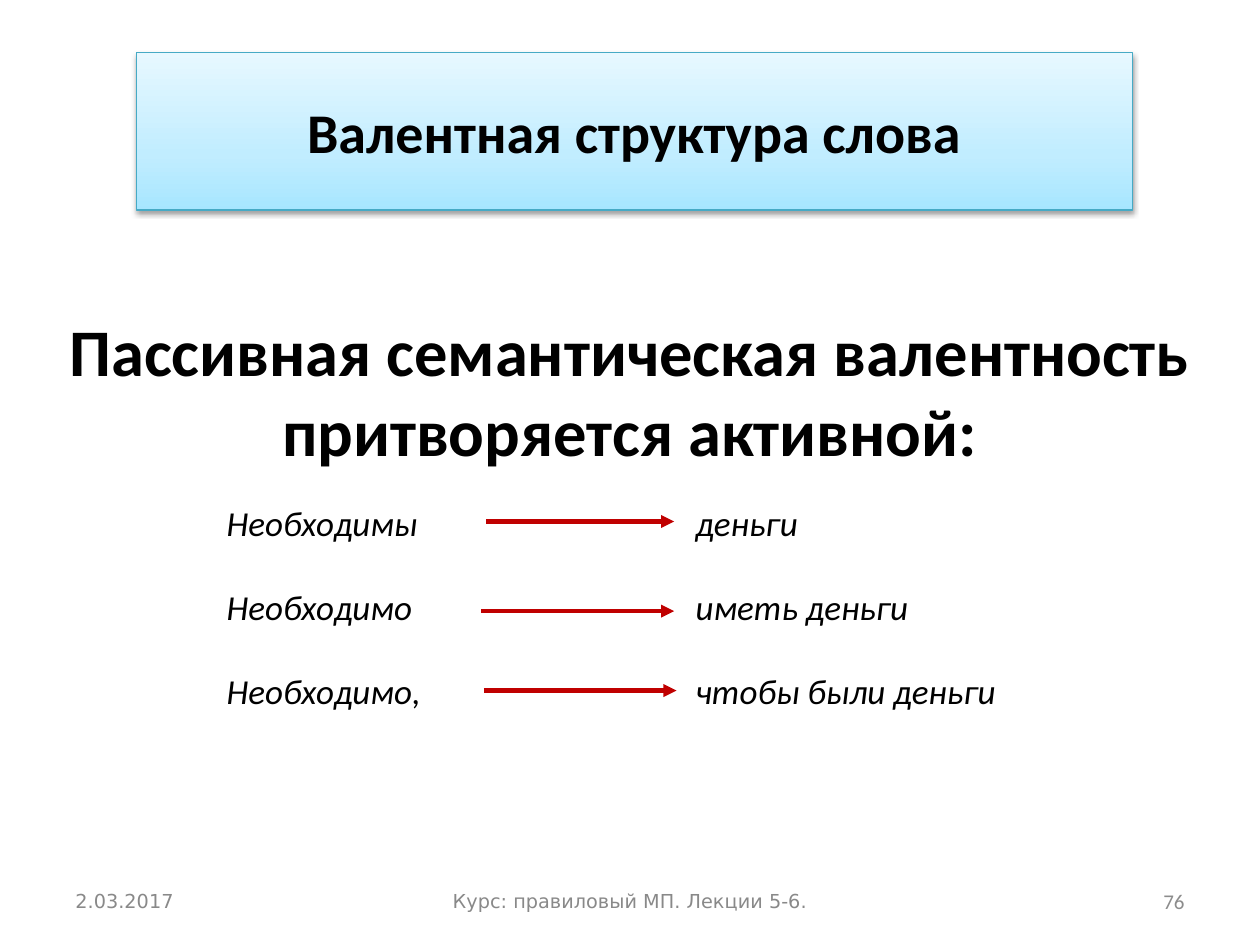
import copy
from dataclasses import dataclass

import pptx
import pptx.dml.color
import pptx.enum.shapes
import pptx.enum.text
import pptx.oxml
import pptx.oxml.ns
import pptx.util

Pt = pptx.util.Pt
Color = pptx.dml.color.RGBColor.from_string
Align = pptx.enum.text.PP_ALIGN
Anchor = pptx.enum.text.MSO_ANCHOR
qn = pptx.oxml.ns.qn
DRAWING_NS = 'xmlns:a="http://schemas.openxmlformats.org/drawingml/2006/main"'


@dataclass(frozen=True)
class Theme:
    font: str = "Calibri"
    footer_font: str = "DejaVu Sans"
    ink: str = "000000"
    footer_ink: str = "898989"
    number_ink: str = "8C8C8C"
    arrow: str = "C00000"
    title_line: str = "46AAC5"
    title_stops: tuple = ((0, "A7E6FF"), (0.35, "C1EDFF"), (1, "E7F8FF"))
    title_size: int = 32
    statement_size: int = 38
    example_size: int = 20
    footer_size: int = 11
    number_size: int = 12


THEME = Theme()

EXAMPLES = [
    ("Необходимы", "деньги"),
    ("Необходимо", "иметь деньги"),
    ("Необходимо,", "чтобы были деньги"),
]
# Start x, end x and y of each arrow, relative to the examples box
ARROWS = [(155.5, 262.8, 15), (152.6, 262.8, 66.2), (154.1, 264.2, 111.6)]


def add_xml(parent, markup):
    element = pptx.oxml.parse_xml(markup)
    parent.append(element)
    return element


def place(shape, box):
    shape.left, shape.top, shape.width, shape.height = (Pt(length) for length in box)


def style(para, size, color=THEME.ink, font=THEME.font, align=Align.LEFT,
          bold=False, italic=False):
    para.alignment = align
    para.font.name = font
    para.font.size = Pt(size)
    para.font.bold = bold
    para.font.italic = italic
    para.font.color.rgb = Color(color)


def add_text_box(page, box):
    shape = page.shapes.add_textbox(*(Pt(length) for length in box))
    shape.text_frame.word_wrap = True
    return shape.text_frame


def fill_title(page, box):
    title = page.shapes.title
    place(title, box)
    title.fill.gradient()
    title.fill.gradient_angle = 90
    stop_list = title.element.spPr.find(".//" + qn("a:gsLst"))
    stop_list.append(copy.deepcopy(stop_list[0]))
    for stop, (position, color) in zip(title.fill.gradient_stops, THEME.title_stops):
        stop.position = position
        stop.color.rgb = Color(color)
    title.line.color.rgb = Color(THEME.title_line)
    title.line.width = Pt(0.75)
    add_xml(title.element.spPr,
            f'<a:effectLst {DRAWING_NS}><a:outerShdw blurRad="{Pt(3.1)}" '
            f'dist="{Pt(1.6)}" dir="5400000" rotWithShape="0"><a:srgbClr val="000000">'
            '<a:alpha val="38000"/></a:srgbClr></a:outerShdw></a:effectLst>')
    frame = title.text_frame
    frame.text = "Валентная структура слова"
    frame.auto_size = pptx.enum.text.MSO_AUTO_SIZE.NONE
    frame.vertical_anchor = Anchor.MIDDLE
    style(frame.paragraphs[0], THEME.title_size, align=Align.CENTER, bold=True)


def fill_statement(page, box):
    body = page.placeholders[1]
    place(body, box)
    frame = body.text_frame
    frame.text = "Пассивная семантическая валентность притворяется активной:"
    frame.auto_size = pptx.enum.text.MSO_AUTO_SIZE.NONE
    frame.margin_top = Pt(43)
    para = frame.paragraphs[0]
    para.space_before = Pt(0)
    style(para, THEME.statement_size, align=Align.CENTER, bold=True)
    properties = para._p.get_or_add_pPr()
    properties.set("marL", "0")
    properties.set("indent", "0")
    properties.insert_element_before(
        pptx.oxml.parse_xml(f"<a:buNone {DRAWING_NS}/>"), "a:tabLst", "a:defRPr")


def add_arrow(page, start_x, end_x, y):
    arrow = page.shapes.add_connector(
        pptx.enum.shapes.MSO_CONNECTOR.STRAIGHT, Pt(start_x), Pt(y), Pt(end_x), Pt(y))
    arrow.line.color.rgb = Color(THEME.arrow)
    arrow.line.width = Pt(2.5)
    add_xml(arrow.line._get_or_add_ln(), f'<a:tailEnd {DRAWING_NS} type="triangle"/>')
    add_xml(arrow._element.spPr, f"<a:effectLst {DRAWING_NS}/>")


def add_examples(page, box):
    """Pairs of words in two tabbed columns, with an arrow between them."""
    left, top = box[:2]
    frame = add_text_box(page, box)
    for index, pair in enumerate(EXAMPLES):
        para = frame.paragraphs[0] if index == 0 else frame.add_paragraph()
        para.text = "\t".join(pair)
        para.space_after = Pt(24)
        style(para, THEME.example_size, italic=True)
        tabs = pptx.oxml.parse_xml(
            f'<a:tabLst {DRAWING_NS}><a:tab pos="{Pt(268)}" algn="l"/></a:tabLst>')
        para._p.get_or_add_pPr().insert_element_before(tabs, "a:defRPr")
    for start_x, end_x, y in ARROWS:
        add_arrow(page, left + start_x, left + end_x, top + y)


def add_footer(page, box):
    left, top, width, height = box
    side, middle = 168, 228
    parts = [
        ("2.03.2017", left, side, Align.LEFT,
         THEME.footer_size, THEME.footer_ink, THEME.footer_font),
        ("Курс: правиловый МП. Лекции 5-6.", left + (width - middle) / 2, middle,
         Align.CENTER, THEME.footer_size, THEME.footer_ink, THEME.footer_font),
        ("76", left + width - side, side, Align.RIGHT,
         THEME.number_size, THEME.number_ink, THEME.font),
    ]
    for text, part_left, part_width, align, size, color, font in parts:
        frame = add_text_box(page, (part_left, top, part_width, height))
        frame.vertical_anchor = Anchor.MIDDLE
        frame.text = text
        style(frame.paragraphs[0], size, color, font, align)


def main():
    deck = pptx.Presentation()
    deck.slide_width, deck.slide_height = Pt(720), Pt(540)
    page = deck.slides.add_slide(deck.slide_layouts[1])
    fill_title(page, (78, 30, 569, 90))
    fill_statement(page, (20, 134, 680, 148))
    add_examples(page, (122.4, 283, 493, 128))
    add_footer(page, (36, 500.5, 648, 28.75))
    deck.save("out.pptx")


if __name__ == "__main__":
    main()
